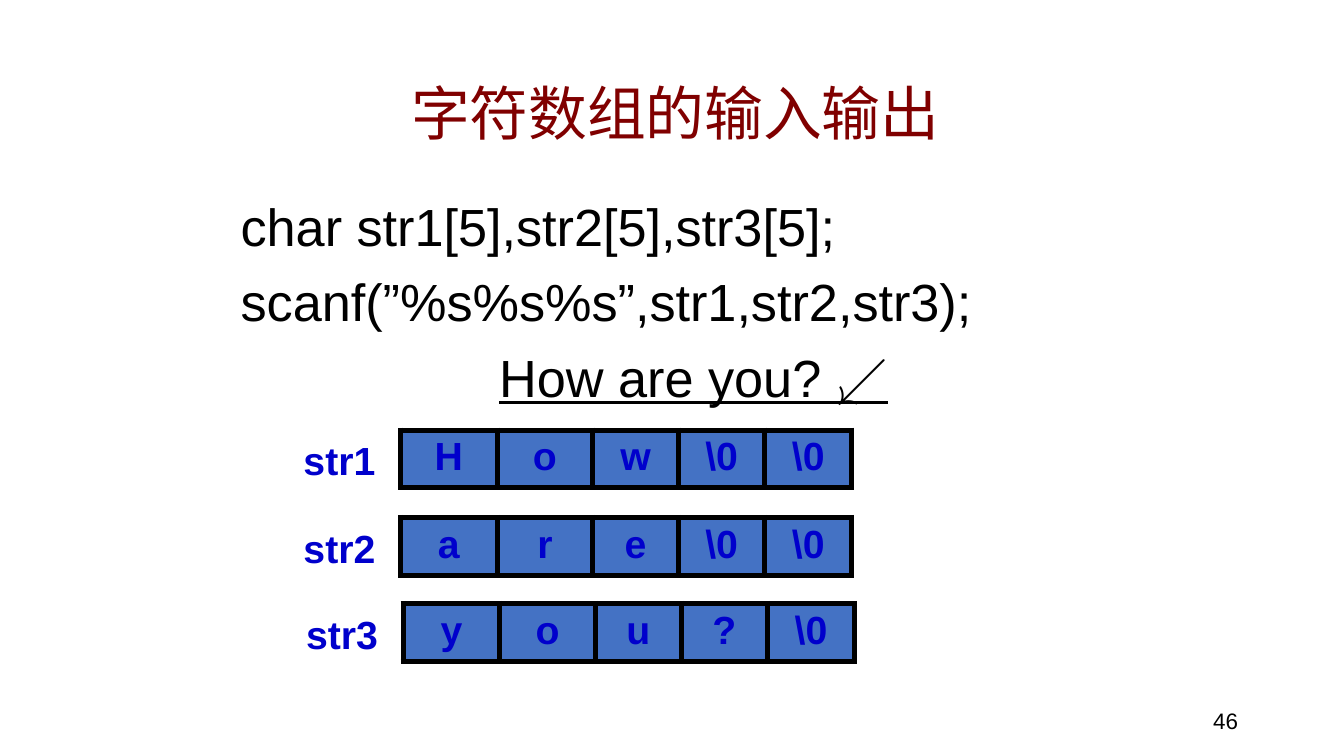
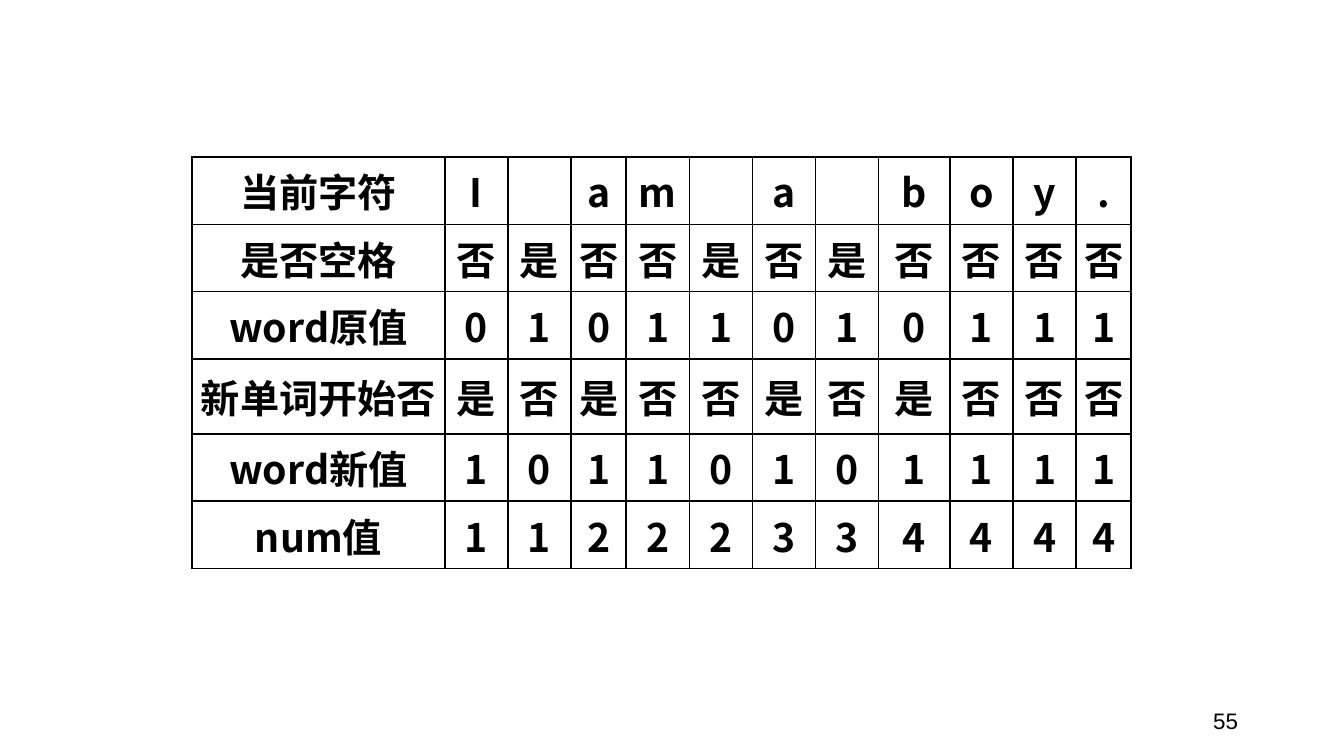
from lxml import etree
from pptx import Presentation
from pptx.dml.color import RGBColor
from pptx.enum import text
from pptx.oxml.ns import qn
from pptx.util import Inches, Pt

COLORS = {"black": "000000", "title": "800000", "label": "0000CC", "cell": "4472C4"}
SANS, CJK, SERIF = "Arial", "Noto Sans CJK SC", "Times New Roman"
LEFT, CENTER, RIGHT = text.PP_ALIGN.LEFT, text.PP_ALIGN.CENTER, text.PP_ALIGN.RIGHT
MIDDLE = text.MSO_ANCHOR.MIDDLE
TIGHT = (0.07, 0.04)


def add_text(p, content, size=21, font=SANS, color="black", bold=False,
             underline=False, align=LEFT):
    """Write one formatted run into a paragraph."""
    p.alignment = align
    r = p.add_run()
    r.text = content
    f = r.font
    f.size, f.name, f.bold, f.underline = Pt(size), font, bold, underline
    f.color.rgb = RGBColor.from_string(COLORS[color])
    etree.SubElement(r._r.get_or_add_rPr(), qn("a:ea"), typeface=CJK)


def set_margins(obj, x, y):
    """Set the inner margins of a text frame or table cell."""
    obj.margin_left = obj.margin_right = Inches(x)
    obj.margin_top = obj.margin_bottom = Inches(y)


def add_box(s, x, y, w, h, margins=(0.1, 0.05)):
    """Add an empty wrapping text box and return its text frame."""
    tf = s.shapes.add_textbox(Inches(x), Inches(y), Inches(w), Inches(h)).text_frame
    tf.word_wrap = True
    set_margins(tf, *margins)
    return tf


def add_title(s, content):
    """Add the centred slide title."""
    tf = add_box(s, 1.48, 0.52, 7.09, 0.63, TIGHT)
    tf.vertical_anchor = MIDDLE
    add_text(tf.paragraphs[0], content, size=31.5, color="title", align=CENTER)


def add_page_number(s, number):
    """Add the page number at the lower right."""
    tf = add_box(s, 7.06, 5.21, 2.25, 0.3)
    add_text(tf.paragraphs[0], str(number), size=12, align=RIGHT)


def add_body(s, lines):
    """Add the code lines with the typed input centred at the end."""
    tf = add_box(s, 1.72, 1.46, 6.88, 2.29, TIGHT)
    for i, line in enumerate(lines):
        p = tf.add_paragraph() if i else tf.paragraphs[0]
        pPr = p._p.get_or_add_pPr()
        pPr.set("marL", str(Inches(0.25)))
        pPr.set("indent", str(-Inches(0.25)))
        p.line_spacing = 0.9
        if i:
            p.space_before = Pt(10)
        last = i == len(lines) - 1
        add_text(p, line, size=28, underline=last, align=CENTER if last else LEFT)


def set_borders(cell, width):
    """Draw a black line on each side of a cell."""
    tcPr = cell._tc.get_or_add_tcPr()
    for side in ("lnL", "lnR", "lnT", "lnB"):
        ln = etree.SubElement(tcPr, qn(f"a:{side}"), w=str(Pt(width)))
        fill = etree.SubElement(ln, qn("a:solidFill"))
        etree.SubElement(fill, qn("a:srgbClr"), val=COLORS["black"])


def add_grid(s, x, y, cols, rows, data, border, margins, fill=None, anchor=None,
             fonts=None, **fmt):
    """Add a bordered table; fonts maps (row, column) to a differing font."""
    fonts = fonts or {}
    tbl = s.shapes.add_table(len(rows), len(cols), Inches(x), Inches(y),
                             Inches(sum(cols)), Inches(sum(rows))).table
    tbl.first_row = tbl.horz_banding = False
    for col, w in zip(tbl.columns, cols):
        col.width = Inches(w)
    for row, h in zip(tbl.rows, rows):
        row.height = Inches(h)
    for i, values in enumerate(data):
        for j, value in enumerate(values):
            cell = tbl.cell(i, j)
            set_margins(cell, *margins)
            cell.vertical_anchor = anchor
            set_borders(cell, border)
            if fill:
                cell.fill.solid()
                cell.fill.fore_color.rgb = RGBColor.from_string(COLORS[fill])
            else:
                cell.fill.background()
            if value.strip():
                style = {**fmt, "font": fonts.get((i, j), fmt.get("font", SANS))}
                add_text(cell.text_frame.paragraphs[0], value, bold=True,
                         align=CENTER, **style)


def add_char_array(s, x, y, name, chars):
    """Add a named character array, one cell for each element."""
    add_grid(s, x, y, [0.72, 0.71, 0.64, 0.64, 0.65], [0.42], [chars], 3, TIGHT,
             fill="cell", color="label")
    tf = add_box(s, x - 0.82, y, 0.76, 0.45)
    tf.auto_size = text.MSO_AUTO_SIZE.SHAPE_TO_FIT_TEXT
    add_text(tf.paragraphs[0], name, color="label", bold=True)


def build_input_slide(prs):
    """Build the slide on reading and printing character arrays."""
    s = prs.slides.add_slide(prs.slide_layouts[6])
    add_body(s, ["char str1[5],str2[5],str3[5];",
                 "scanf(”%s%s%s”,str1,str2,str3);",
                 "How are you? ↙"])
    add_title(s, "字符数组的输入输出")
    arrays = [(2.98, 3.2, "str1", ["H", "o", "w", "\\0", "\\0"]),
              (2.98, 3.85, "str2", ["a", "r", "e", "\\0", "\\0"]),
              (3, 4.49, "str3", ["y", "o", "u", "?", "\\0"])]
    for array in arrays:
        add_char_array(s, *array)
    add_page_number(s, 46)


def build_trace_slide(prs):
    """Build the slide tracing the word count character by character."""
    s = prs.slides.add_slide(prs.slide_layouts[6])
    trace = [("当前字符", "I am a boy."),
             ("是否空格", "否是否否是否是否否否否"),
             ("word原值", "01011010111"),
             ("新单词开始否", "是否是否否是否是否否否"),
             ("word新值", "10110101111"),
             ("num值", "11222334444")]
    cols = [1.88, 0.47, 0.47, 0.41, 0.47, 0.47, 0.47, 0.47, 0.53, 0.47, 0.47, 0.41]
    add_grid(s, 1.43, 1.17, cols, [0.5, 0.5, 0.5, 0.56, 0.5, 0.5],
             [[head, *values] for head, values in trace], 1, (0.06, 0),
             anchor=MIDDLE, font=CJK,
             fonts={(3, j): SERIF for j in (4, 5, 9, 10, 11)})
    add_page_number(s, 55)


def main():
    """Build and save the presentation."""
    prs = Presentation()
    prs.slide_width, prs.slide_height = Inches(10), Inches(10 * 9 / 16)
    build_input_slide(prs)
    build_trace_slide(prs)
    prs.save("out.pptx")


if __name__ == "__main__":
    main()
